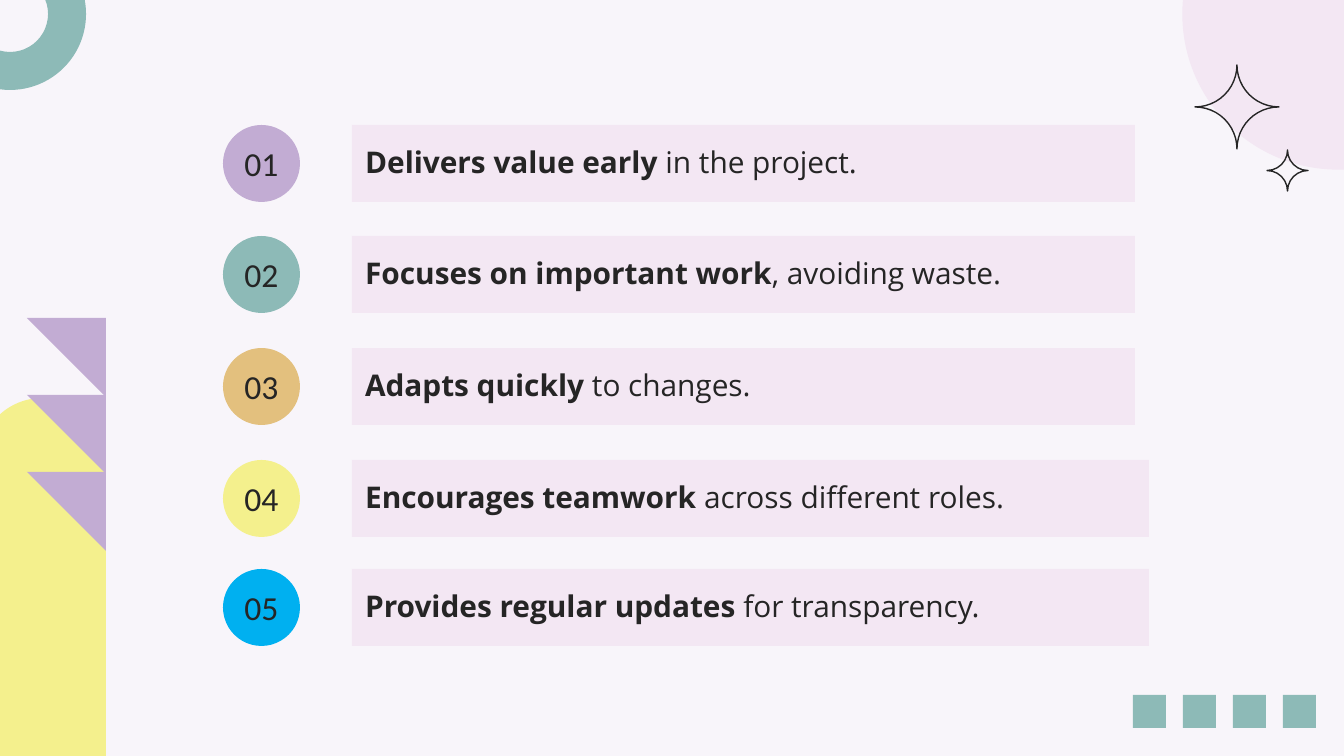
import pptx
import pptx.util
from pptx.dml.color import RGBColor
from pptx.enum.shapes import MSO_SHAPE
from pptx.enum.text import MSO_ANCHOR, PP_ALIGN

PX = 914400 / 134.4  # EMU in one px

BACKGROUND = RGBColor(0xF8, 0xF5, 0xFA)
PINK = RGBColor(0xF3, 0xE7, 0xF3)
TEAL = RGBColor(0x8D, 0xBA, 0xB7)
PURPLE = RGBColor(0xC2, 0xAC, 0xD3)
SAND = RGBColor(0xE3, 0xC0, 0x7E)
YELLOW = RGBColor(0xF4, 0xF0, 0x8D)
BLUE = RGBColor(0x00, 0xB0, 0xF0)
INK = RGBColor(0x25, 0x25, 0x25)

# top, bar width, badge colour, bold text, plain text
ROWS = [
    (125, 783, PURPLE, "Delivers value early", " in the project."),
    (236, 783, TEAL, "Focuses on important work", ", avoiding waste."),
    (348, 783, SAND, "Adapts quickly", " to changes."),
    (460, 797, YELLOW, "Encourages teamwork", " across different roles."),
    (569, 797, BLUE, "Provides regular updates", " for transparency."),
]


def emu(px):
    return pptx.util.Emu(round(px * PX))


def paint(sp, fill=None, line=None):
    sp.shadow.inherit = False
    if fill is None:
        sp.fill.background()
    else:
        sp.fill.solid()
        sp.fill.fore_color.rgb = fill
    if line is None:
        sp.line.fill.background()
    else:
        sp.line.color.rgb = line
        sp.line.width = pptx.util.Pt(0.75)


def add_shape(s, kind, x, y, w, h, fill=None, line=None, adjustments=()):
    sp = s.shapes.add_shape(kind, emu(x), emu(y), emu(w), emu(h))
    for i, value in enumerate(adjustments):
        sp.adjustments[i] = value
    paint(sp, fill, line)
    return sp


def set_frame(sp, inset, anchor):
    tf = sp.text_frame
    tf.word_wrap = True
    tf.margin_left = tf.margin_right = pptx.util.Inches(inset)
    tf.margin_top = tf.margin_bottom = pptx.util.Inches(inset)
    tf.vertical_anchor = anchor
    return tf


def style_run(r, font, size, bold=False):
    r.font.name = font
    r.font.size = pptx.util.Pt(size)
    r.font.bold = bold
    r.font.color.rgb = INK


def corner_circles(s, w):
    add_shape(s, MSO_SHAPE.OVAL, w - 161, -141, 310, 310, PINK, PINK)
    add_shape(s, MSO_SHAPE.DONUT, -66, -62, 152, 152, TEAL, adjustments=[0.25])


def square_strip(s, x, y, size, pitch, count):
    for i in range(count):
        add_shape(s, MSO_SHAPE.RECTANGLE, x + i * pitch, y, size, size, TEAL)


def benefit_row(s, x, y, h, bar_width, number, colour, bold_text, plain_text):
    # Numbered badge
    badge = add_shape(s, MSO_SHAPE.OVAL, x, y, h, h, colour)
    p = set_frame(badge, 0, MSO_ANCHOR.MIDDLE).paragraphs[0]
    p.text = f"{number:02d}"
    p.alignment = PP_ALIGN.CENTER
    style_run(p.runs[0], "Calibri", 18)

    # Text bar
    bar = add_shape(s, MSO_SHAPE.RECTANGLE, x + 129, y, bar_width, h, PINK)
    p = set_frame(bar, 0.1, MSO_ANCHOR.TOP).paragraphs[0]
    p.text = bold_text
    p.add_run().text = plain_text
    p.alignment = PP_ALIGN.LEFT
    p.line_spacing = 1.15
    p.space_after = pptx.util.Pt(16)
    for r, bold in zip(p.runs, (True, False)):
        style_run(r, "Open Sans", 16, bold)


def left_tower(s, x, y, w, h):
    # Rounded column
    add_shape(s, MSO_SHAPE.ROUND_2_SAME_RECTANGLE, x, y + 80, w, h - 80,
              YELLOW, adjustments=[0.5, 0])
    # Stacked triangles, flush with the column's right edge
    side, pitch = 79, 77
    right = x + w
    for i in reversed(range(3)):
        top = y + i * pitch
        builder = s.shapes.build_freeform(right - side, top, scale=PX)
        builder.add_line_segments([(right, top + side), (right, top)], close=True)
        paint(builder.convert_to_shape(), PURPLE)


def sparkles(s, x, y):
    for dx, dy, size in ((0, 0, 84), (72, 85, 41)):
        add_shape(s, MSO_SHAPE.PLAQUE, x + dx, y + dy, size, size,
                  line=INK, adjustments=[0.5])


def benefits_slide(prs, w, h):
    s = prs.slides.add_slide(prs.slide_layouts[6])
    s.background.fill.solid()
    s.background.fill.fore_color.rgb = BACKGROUND
    corner_circles(s, w)
    square_strip(s, 1133, 695, 33, 50, 4)
    for number, (top, bar_width, colour, bold, plain) in enumerate(ROWS, 1):
        benefit_row(s, 223, top, 77, bar_width, number, colour, bold, plain)
    left_tower(s, -21, 318, 127, h - 318)
    sparkles(s, 1195, 65)


def main():
    width, height = 1344, 756
    prs = pptx.Presentation()
    prs.slide_width, prs.slide_height = emu(width), emu(height)
    benefits_slide(prs, width, height)
    prs.save("out.pptx")


if __name__ == "__main__":
    main()
